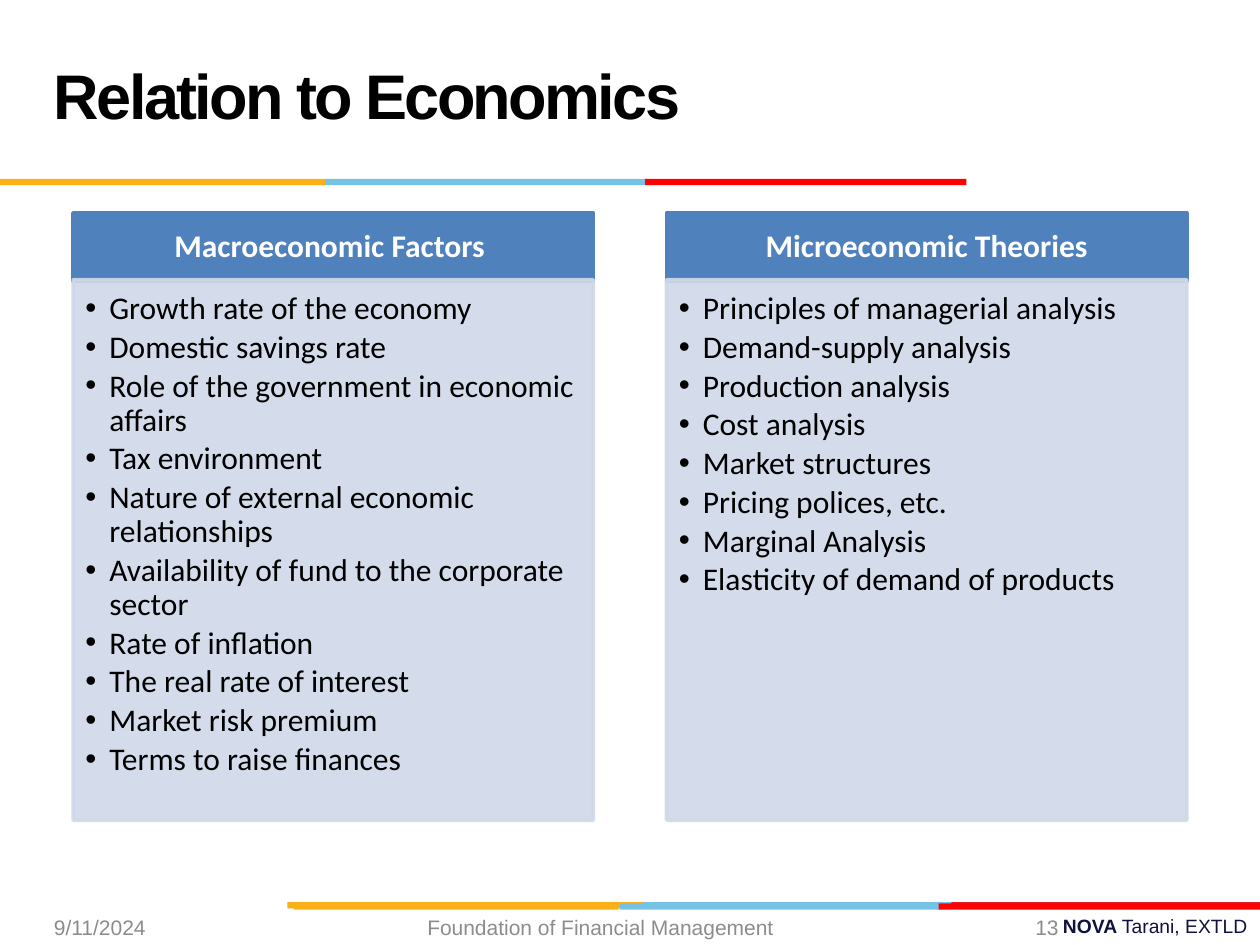
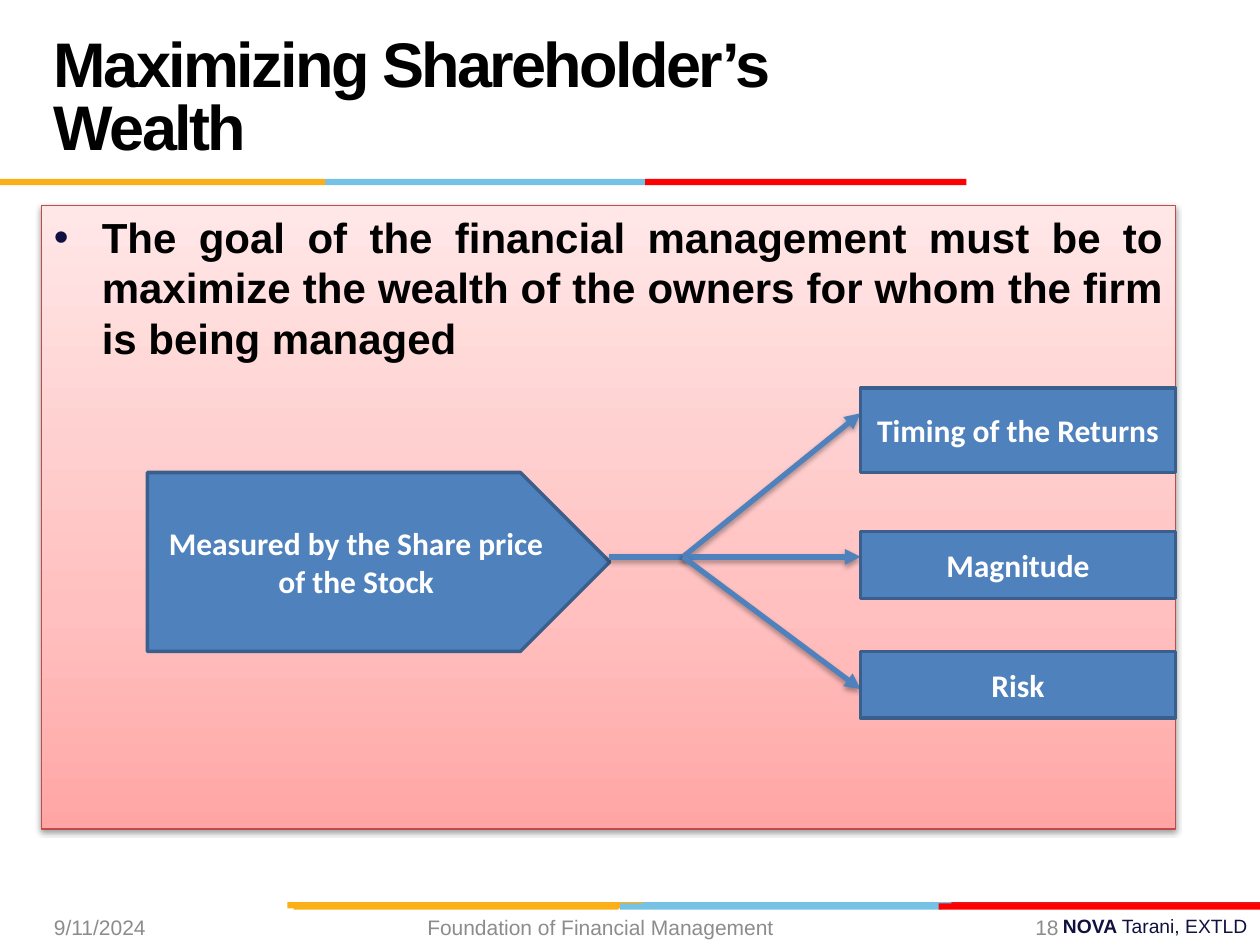
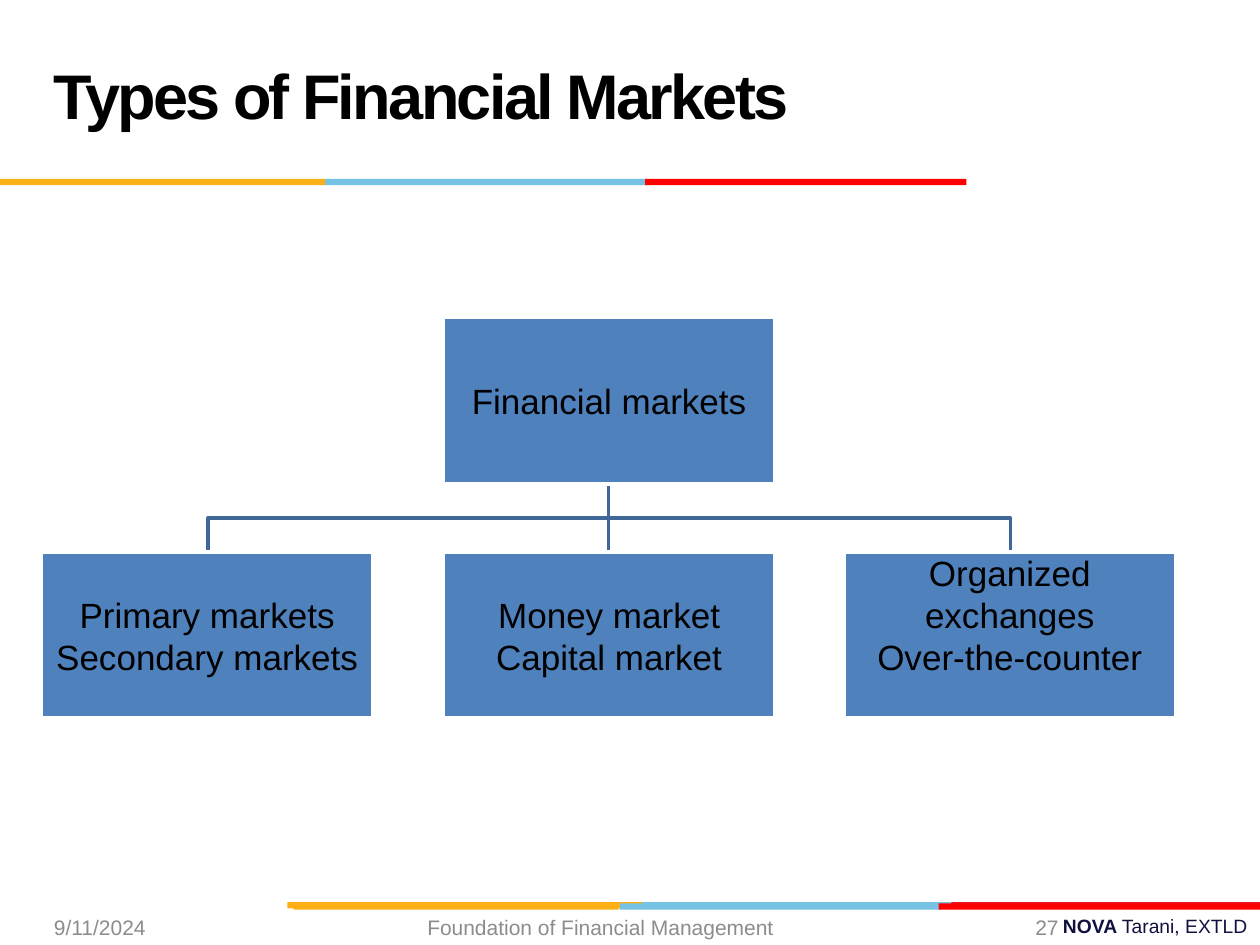
import dataclasses
import typing

import lxml.etree
import pptx
import pptx.dml.color
import pptx.enum.shapes
import pptx.enum.text
import pptx.oxml.ns
import pptx.util

SCALE = 9144  # EMU in one px, 100 px to the inch
ALIGN = pptx.enum.text.PP_ALIGN
ANCHOR = pptx.enum.text.MSO_ANCHOR
KIND = pptx.enum.shapes.MSO_SHAPE


# Theme and records
class Face(typing.NamedTuple):
    size: int
    name: str
    tint: str
    bold: bool = False
    align: ALIGN = ALIGN.LEFT


class Box(typing.NamedTuple):
    left: int
    top: int
    width: int
    height: int


class Strip(typing.NamedTuple):
    box: Box
    tint: str


class Pen(typing.NamedTuple):
    tint: str
    width: float


class Glow(typing.NamedTuple):
    alpha: int
    blur: float
    drop: float


class Panel(typing.NamedTuple):
    head: str
    items: tuple[str, ...]


@dataclasses.dataclass(frozen=True)
class Theme:
    gold: str = "FCB017"
    sky: str = "76C2E5"
    red: str = "FF0000"
    crimson: str = "E31C24"
    navy: str = "101141"
    blue: str = "4F81BD"
    pale: str = "D0D8E8"
    edge: Pen = Pen("3A5F8C", 2)
    tree: Pen = Pen("3F6797", 2)
    rim: Pen = Pen("FFFFFF", 2)
    rose: Pen = Pen("BF4C48", 0.75)
    blush: tuple[tuple[int, str], ...] = ((0, "FFA6A5"), (35, "FFC0BF"), (100, "FFE7E7"))
    title: Face = Face(36, "Arial", "000000", True)
    date: Face = Face(12, "Arial", "8C8C8C")
    brand: Face = Face(11, "Arial", "101141", True, ALIGN.RIGHT)
    label: Face = Face(18, "Calibri", "FFFFFF", True, ALIGN.CENTER)
    item: Face = Face(18, "Calibri", "000000")
    goal: Face = Face(24, "Arial", "000000", True, ALIGN.JUSTIFY)
    node: Face = Face(20, "Arial", "000000", False, ALIGN.CENTER)


T = Theme()

STRIPS = [
    Strip(Box(506, 716, 255, 5), T.sky),
    Strip(Box(755, 716, 245, 5), T.crimson),
    Strip(Box(228, 716, 282, 5), T.gold),
    Strip(Box(492, 717, 255, 5), T.sky),
    Strip(Box(233, 717, 258, 5), T.gold),
    Strip(Box(745, 717, 255, 5), T.red),
    Strip(Box(258, 142, 255, 5), T.sky),
    Strip(Box(0, 142, 258, 5), T.gold),
    Strip(Box(512, 142, 255, 5), T.red),
]

PANELS = [
    Panel("Macroeconomic Factors ", (
        "Growth rate of the economy",
        "Domestic savings rate",
        "Role of the government in economic affairs",
        "Tax environment",
        "Nature of external economic relationships",
        "Availability of fund to the corporate sector",
        "Rate of inflation",
        "The real rate of interest",
        "Market risk premium",
        "Terms to raise finances",
    )),
    Panel("Microeconomic Theories", (
        "Principles of managerial analysis",
        "Demand-supply analysis",
        "Production analysis",
        "Cost analysis",
        "Market structures",
        "Pricing polices, etc.",
        "Marginal Analysis",
        "Elasticity of demand of products",
    )),
]


# Helpers
def px(count: float) -> int:
    return round(count * SCALE)


def color(tint: str) -> pptx.dml.color.RGBColor:
    return pptx.dml.color.RGBColor.from_string(tint)


def apply(thing: typing.Any, form: dict[str, typing.Any]) -> None:
    for key, value in form.items():
        setattr(thing, key, value)


def child(home: typing.Any, tag: str, **attrs: str) -> typing.Any:
    return lxml.etree.SubElement(home, pptx.oxml.ns.qn(tag), attrs)


def shade(home: typing.Any, glow: Glow) -> None:
    cast = child(home, "a:outerShdw", blurRad=str(pptx.util.Pt(glow.blur)),
                 dist=str(pptx.util.Pt(glow.drop)), dir="5400000", rotWithShape="0")
    child(child(cast, "a:srgbClr", val="000000"), "a:alpha", val=str(glow.alpha * 1000))


def ink(line: typing.Any, pen: Pen) -> None:
    line.color.rgb = color(pen.tint)
    line.width = pptx.util.Pt(pen.width)


def block(slide: typing.Any, box: Box, fill: str, pen: Pen | None = None,
          kind: KIND = KIND.RECTANGLE) -> typing.Any:
    shape = slide.shapes.add_shape(kind, *map(px, box))
    shape.shadow.inherit = False
    shape.fill.solid()
    shape.fill.fore_color.rgb = color(fill)
    if pen:
        ink(shape.line, pen)
    else:
        shape.line.fill.background()
    return shape


def style(run: typing.Any, face: Face) -> None:
    apply(run.font, {"size": pptx.util.Pt(face.size), "name": face.name, "bold": face.bold})
    run.font.color.rgb = color(face.tint)


def write(shape: typing.Any, texts: typing.Sequence[str], face: Face,
          anchor: ANCHOR = ANCHOR.MIDDLE, inset: tuple[int, ...] = (10, 5, 10, 5),
          **form: typing.Any) -> list[typing.Any]:
    frame = shape.text_frame
    sides = ("margin_left", "margin_top", "margin_right", "margin_bottom")
    apply(frame, {"word_wrap": True, "vertical_anchor": anchor})
    apply(frame, dict(zip(sides, map(px, inset))))
    for spot, text in enumerate(texts):
        para = frame.add_paragraph() if spot else frame.paragraphs[0]
        apply(para, {"alignment": face.align, **form})
        run = para.add_run()
        run.text = text
        style(run, face)
    return list(frame.paragraphs)


def note(slide: typing.Any, box: Box, text: str, face: Face,
         **form: typing.Any) -> typing.Any:
    return write(slide.shapes.add_textbox(*map(px, box)), [text], face, **form)[0]


def bullet(para: typing.Any, hang: int, tint: str) -> None:
    props = para._p.get_or_add_pPr()
    apply_at = {"marL": str(px(hang)), "indent": str(px(-hang))}
    for key, value in apply_at.items():
        props.set(key, value)
    child(child(props, "a:buClr"), "a:srgbClr", val=tint)
    child(props, "a:buFont", typeface="Arial")
    child(props, "a:buChar", char="•")


def link(slide: typing.Any, start: tuple[int, int], end: tuple[int, int], pen: Pen,
         arrow: bool = False, glow: Glow | None = None) -> None:
    kind = pptx.enum.shapes.MSO_CONNECTOR.STRAIGHT
    wire = slide.shapes.add_connector(kind, *map(px, start + end))
    ink(wire.line, pen)
    if arrow:
        child(wire.line._get_or_add_ln(), "a:tailEnd", type="triangle")
    cast = child(wire._element.spPr, "a:effectLst")
    if glow:
        shade(cast, glow)


# Shared frame: strips, title, footer
def start(deck: typing.Any, title: str, page: int) -> typing.Any:
    slide = deck.slides.add_slide(deck.slide_layouts[6])
    brand = note(slide, Box(783, 721, 217, 29), "NOVA ", T.brand, anchor=ANCHOR.TOP)
    tail = brand.add_run()
    tail.text = "Tarani, EXTLD"
    style(tail, T.brand._replace(bold=False))
    for strip in STRIPS:
        block(slide, strip.box, strip.tint)
    head = note(slide, Box(33, 17, 692, 125), title, T.title,
                line_spacing=pptx.util.Pt(36))
    head.runs[0].font._element.set("spc", "-150")
    for left, width, text, align in (
        (33, 233, "9/11/2024", ALIGN.LEFT),
        (225, 508, "Foundation of Financial Management ", ALIGN.CENTER),
        (739, 111, str(page), ALIGN.RIGHT),
    ):
        note(slide, Box(left, 721, width, 29), text, T.date._replace(align=align))
    return slide


# Two panels with bullet lists
def factors(deck: typing.Any) -> None:
    slide = start(deck, "Relation to Economics", 13)
    for spot, panel in enumerate(PANELS):
        left = 58 + 471 * spot
        head = block(slide, Box(left, 169, 413, 54), T.blue, Pen(T.blue, 2))
        write(head, [panel.head], T.label, inset=(14, 8, 14, 8), line_spacing=0.9)
        body = block(slide, Box(left, 222, 413, 429), T.pale, Pen(T.pale, 2))
        for tint in list(body._element.spPr.iter(pptx.oxml.ns.qn("a:srgbClr"))):
            child(tint, "a:alpha", val="90000")
        for para in write(body, panel.items, T.item, ANCHOR.TOP, (10, 10, 14, 16),
                          line_spacing=0.9, space_after=pptx.util.Pt(2.7)):
            bullet(para, 19, T.item.tint)


# Goal panel with share price and its three drivers
def wealth(deck: typing.Any) -> None:
    slide = start(deck, "Maximizing Shareholder’s Wealth", 18)
    panel = block(slide, Box(33, 163, 900, 495), T.blush[0][1], T.rose)
    panel.fill.gradient()
    grad = panel._element.spPr.find(pptx.oxml.ns.qn("a:gradFill"))
    grad.clear()
    stops = child(grad, "a:gsLst")
    for place, tint in T.blush:
        child(child(stops, "a:gs", pos=str(place * 1000)), "a:srgbClr", val=tint)
    child(grad, "a:lin", ang="16200000", scaled="1")
    shade(panel._element.spPr.find(pptx.oxml.ns.qn("a:effectLst")), Glow(38, 3.1, 1.6))
    goal = ("The goal of the financial management must be to maximize "
            "the wealth of the owners for whom the firm is being managed")
    para = write(panel, [goal], T.goal, ANCHOR.TOP, space_before=pptx.util.Pt(4.8))[0]
    bullet(para, 38, T.navy)

    price = block(slide, Box(117, 375, 367, 142), T.blue, T.edge, KIND.PENTAGON)
    write(price, ["Measured by the Share price of the Stock"], T.label)
    pen, glow, fork = Pen(T.blue, 3), Glow(35, 3.1, 1.8), (542, 442)
    link(slide, (483, 442), fork, pen, glow=glow)
    for tip in (328, 442, 547):
        link(slide, fork, (683, tip), pen, True, glow)
    for text, top, height in (
        ("Timing of the Returns", 308, 67), ("Magnitude", 422, 53), ("Risk", 517, 53),
    ):
        write(block(slide, Box(683, top, 250, height), T.blue, T.edge), [text], T.label)


# Tree of market types
def markets(deck: typing.Any) -> None:
    slide = start(deck, "Types of Financial Markets", 27)
    wide, high, root, leaf = 263, 132, 252, 438
    lefts = (33, 352, 670)
    mid, base, bend = 483, 383, 411
    for end in (802, 165):
        path = slide.shapes.build_freeform(mid, base, scale=SCALE)
        path.add_line_segments([(mid, bend), (end, bend), (end, leaf)], close=False)
        elbow = path.convert_to_shape()
        elbow.shadow.inherit = False
        elbow.fill.background()
        ink(elbow.line, T.tree)
    link(slide, (mid, base), (mid, leaf), T.tree)
    for left, top, lines, foot in (
        (lefts[1], root, ["Financial markets"], 1),
        (lefts[0], leaf, ["Primary markets", "Secondary markets"], 1),
        (lefts[1], leaf, ["Money market", "Capital market"], 1),
        (lefts[2], leaf, ["Organized exchanges", "Over-the-counter"], 34),
    ):
        shape = block(slide, Box(left, top, wide, high), T.blue, T.rim)
        write(shape, lines, T.node, inset=(1, 1, 1, foot))


def main() -> None:
    deck = pptx.Presentation()
    apply(deck, {"slide_width": px(1000), "slide_height": px(750)})
    for draw in (factors, wealth, markets):
        draw(deck)
    deck.save("out.pptx")


if __name__ == "__main__":
    main()
